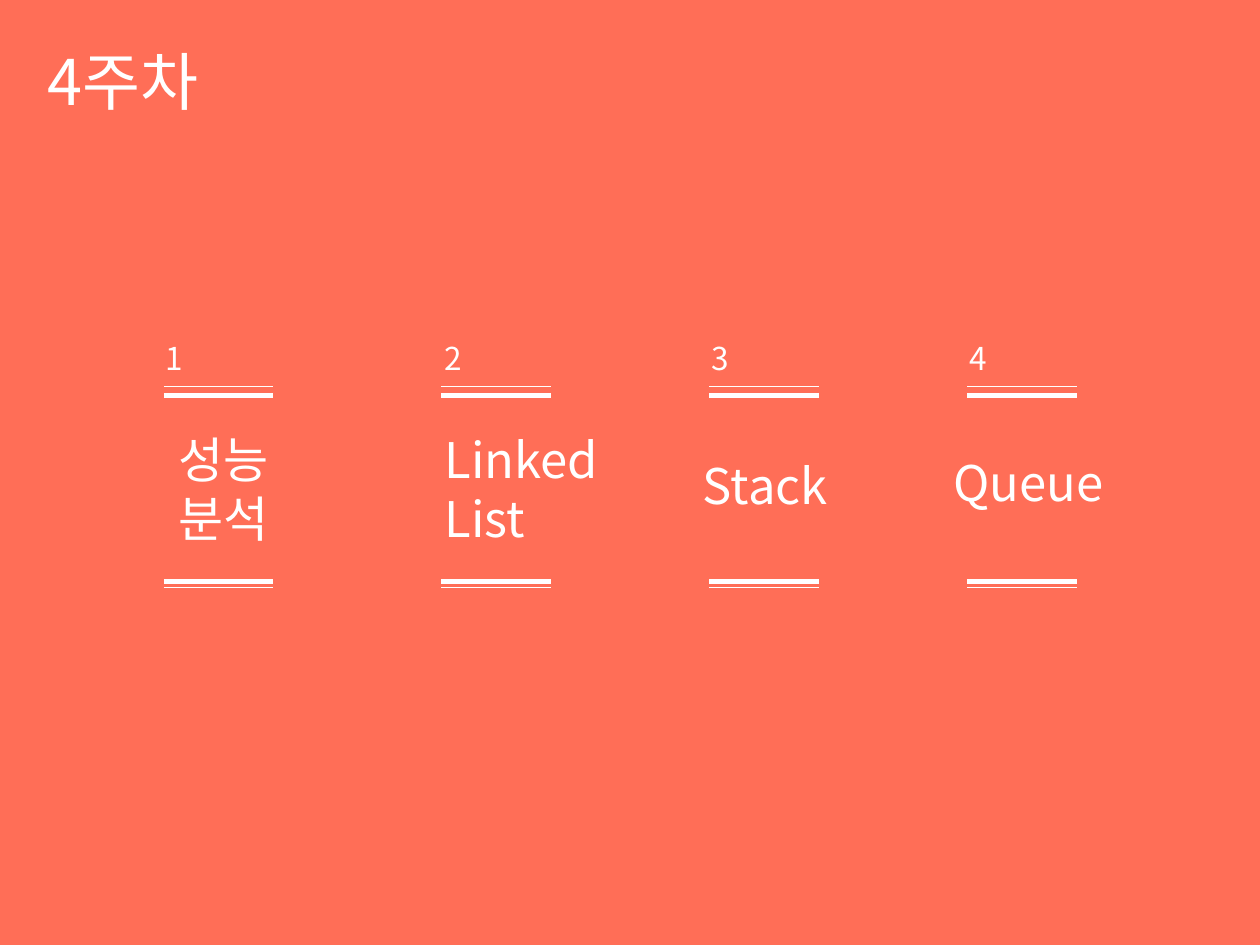
import pptx
import pptx.dml.color
import pptx.enum.shapes
import pptx.enum.text
import pptx.oxml.ns
import pptx.util
from lxml import etree

Pt = pptx.util.Pt
COLORS = {"background": "FF6E57", "foreground": "FFFFFF"}
FONT = "Noto Sans CJK KR"


def write_text(shape, lines, size):
    frame = shape.text_frame
    frame.text = "\n".join(lines)
    frame_format = {
        "word_wrap": True,
        "vertical_anchor": pptx.enum.text.MSO_ANCHOR.TOP,
        "auto_size": pptx.enum.text.MSO_AUTO_SIZE.SHAPE_TO_FIT_TEXT,
    }
    for name, value in frame_format.items():
        setattr(frame, name, value)
    for paragraph in frame.paragraphs:
        paragraph.alignment = pptx.enum.text.PP_ALIGN.LEFT
        for run in paragraph.runs:
            for name, value in {"name": FONT, "size": Pt(size)}.items():
                setattr(run.font, name, value)
            run.font.color.rgb = pptx.dml.color.RGBColor.from_string(COLORS["foreground"])
            east_asian = etree.SubElement(run.font._element, pptx.oxml.ns.qn("a:ea"))
            east_asian.set("typeface", FONT)


def add_rule(slide, left, top, width, weight):
    rule = slide.shapes.add_connector(
        pptx.enum.shapes.MSO_CONNECTOR.STRAIGHT, Pt(left), Pt(top), Pt(left + width), Pt(top)
    )
    rule.line.width = Pt(weight)
    rule.line.color.rgb = pptx.dml.color.RGBColor.from_string(COLORS["foreground"])
    etree.SubElement(rule._element.spPr, pptx.oxml.ns.qn("a:effectLst"))


presentation = pptx.Presentation()
presentation.slide_width = Pt(720)
presentation.slide_height = Pt(540)
slide = presentation.slides.add_slide(presentation.slide_layouts[5])

background = slide.shapes.add_shape(
    pptx.enum.shapes.MSO_SHAPE.RECTANGLE, 0, 0, Pt(720), Pt(540)
)
background.shadow.inherit = False
background.fill.solid()
background.fill.fore_color.rgb = pptx.dml.color.RGBColor.from_string(COLORS["background"])
background.line.fill.background()

# Bring the title in front of the background
title = slide.shapes.title
background._element.addnext(title._element)
for name, value in {"left": 20.2, "top": 20.9, "width": 244, "height": 51}.items():
    setattr(title, name, Pt(value))
write_text(title, ["4주차"], 36)

# Rule left, number left, then topic lines and topic box
topics = [
    (93.6, 87.8, ["성능 분석"], (95, 242, 82, 75)),
    (252, 247, ["Linked", "List"], (247, 242, 102.2, 75)),
    (405.4, 399.6, ["Stack"], (394.6, 257, 90.7, 41)),
    (552.7, 547.2, ["Queue"], (537.8, 254.9, 108, 41)),
]
rules = [(221, 0.75), (226, 3), (332.4, 3), (335.6, 0.75)]

for number, (rule_left, number_left, lines, box) in enumerate(topics, start=1):
    number_box = slide.shapes.add_textbox(Pt(number_left), Pt(190), Pt(90.7), Pt(28.8))
    write_text(number_box, [str(number)], 18)
    topic_box = slide.shapes.add_textbox(*map(Pt, box))
    write_text(topic_box, lines, 28)
    for top, weight in rules:
        add_rule(slide, rule_left, top, 62.6, weight)

presentation.save("out.pptx")
